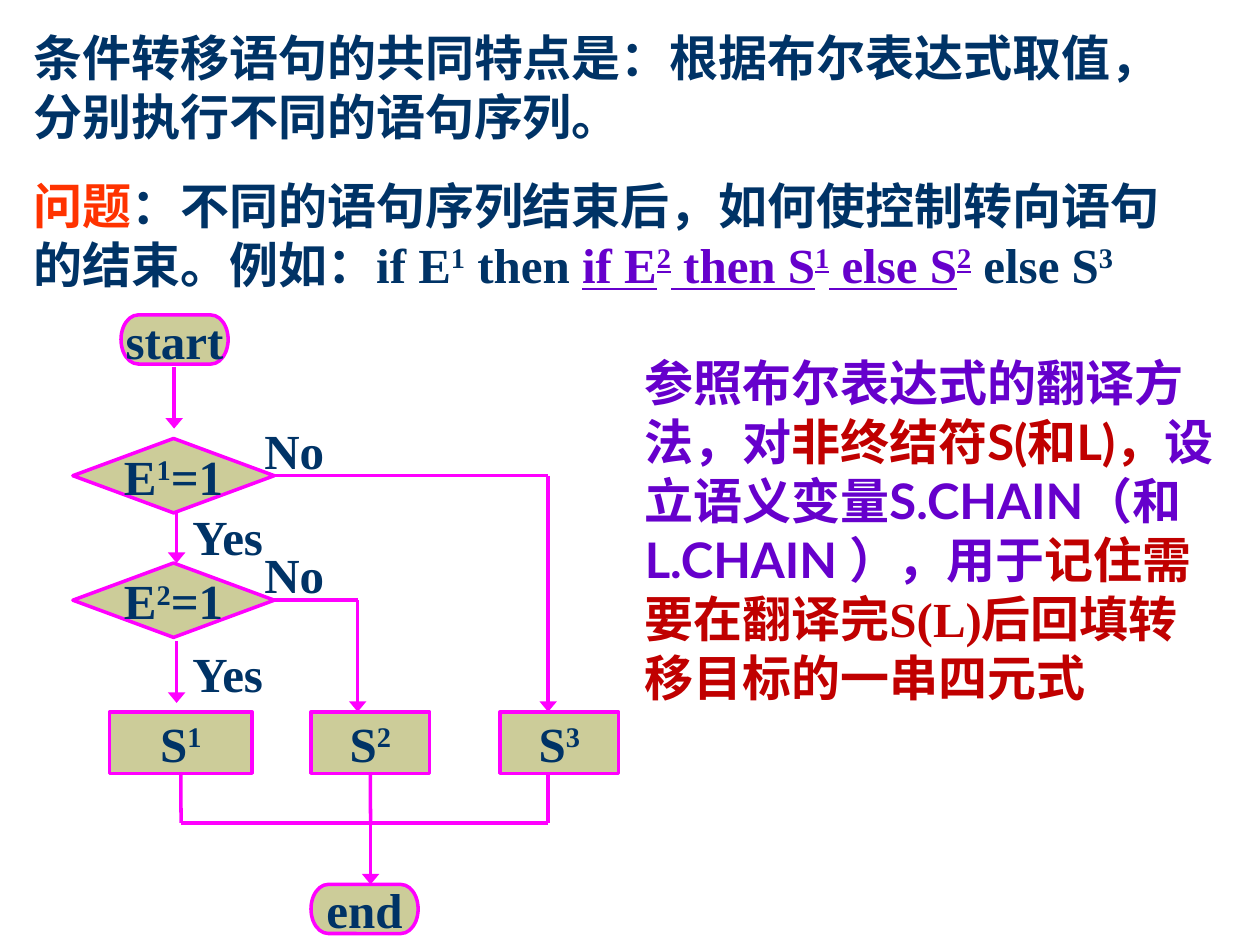
import pptx
import pptx.dml.color
import pptx.enum.shapes
import pptx.enum.text
import pptx.oxml
import pptx.oxml.ns
import pptx.util

Cm, Pt = pptx.util.Cm, pptx.util.Pt
RGB = pptx.dml.color.RGBColor
SHAPE = pptx.enum.shapes.MSO_SHAPE
STRAIGHT = pptx.enum.shapes.MSO_CONNECTOR.STRAIGHT
PP_ALIGN = pptx.enum.text.PP_ALIGN
ANCHOR = pptx.enum.text.MSO_ANCHOR
AUTO_SIZE = pptx.enum.text.MSO_AUTO_SIZE

NAVY = RGB(0x00, 0x33, 0x66)
ORANGE = RGB(0xFF, 0x33, 0x00)
PURPLE = RGB(0x66, 0x00, 0xCC)
RED = RGB(0xC0, 0x00, 0x00)
KHAKI = RGB(0xCC, 0xCC, 0x99)
MAGENTA = RGB(0xFF, 0x00, 0xFF)
SERIF, SANS = "Times New Roman", "Lato"
BOTTOM, RIGHT = 2, 3  # connection sites


class Flow:
    """Style of the slide and the slide being filled."""

    size = Pt(28)
    line_width = Pt(2)

    def __init__(self, slide):
        self.s = slide

    def runs(self, p, text, color=NAVY, font=SERIF, underline=False):
        """Add text to p; pieces between ^ marks are superscript."""
        for i, piece in enumerate(text.split("^")):
            if not piece:
                continue
            r = p.add_run()
            r.text = piece
            r.font.size, r.font.bold, r.font.name = self.size, True, font
            r.font.color.rgb = color
            if underline:
                r.font.underline = True
            if i % 2:
                r._r.get_or_add_rPr().set("baseline", "30000")

    def text(self, x, y, w, h, *paragraphs):
        """Text box; each paragraph is a list of argument tuples for runs."""
        sp = self.s.shapes.add_textbox(Cm(x), Cm(y), Cm(w), Cm(h))
        tf = sp.text_frame
        tf.word_wrap = True
        tf.auto_size = AUTO_SIZE.SHAPE_TO_FIT_TEXT
        for i, parts in enumerate(paragraphs):
            p = tf.add_paragraph() if i else tf.paragraphs[0]
            if i:
                p.space_before = Pt(17.5)
            for part in parts:
                self.runs(p, *part)

    def node(self, kind, x, y, w, h, label):
        sp = self.s.shapes.add_shape(kind, Cm(x), Cm(y), Cm(w), Cm(h))
        sp.shadow.inherit = False
        sp.fill.solid()
        sp.fill.fore_color.rgb = KHAKI
        sp.line.color.rgb = MAGENTA
        sp.line.width = self.line_width
        tf = sp.text_frame
        tf.word_wrap = False
        tf.vertical_anchor = ANCHOR.MIDDLE
        p = tf.paragraphs[0]
        p.alignment = PP_ALIGN.CENTER
        self.runs(p, label)
        return sp

    def line(self, x1, y1, x2, y2, arrow=False, begin=None):
        """Straight line; begin is an optional (shape, site) to join."""
        c = self.s.shapes.add_connector(STRAIGHT, Cm(x1), Cm(y1), Cm(x2), Cm(y2))
        if begin:
            c.begin_connect(*begin)
        c.line.color.rgb = MAGENTA
        c.line.width = self.line_width
        if arrow:
            tail = pptx.oxml.parse_xml(
                '<a:tailEnd %s type="triangle" w="lg" len="med"/>'
                % pptx.oxml.ns.nsdecls("a"))
            c.line._get_or_add_ln().append(tail)
        c._element.spPr.append(pptx.oxml.parse_xml(
            "<a:effectLst %s/>" % pptx.oxml.ns.nsdecls("a")))


def main():
    prs = pptx.Presentation()
    prs.slide_width, prs.slide_height = Cm(25.4), Cm(19.05)
    flow = Flow(prs.slides.add_slide(prs.slide_layouts[6]))

    # Statement and question
    flow.text(
        0.43, 0.43, 24.13, 5.61,
        [("条件转移语句的共同特点是：根据布尔表达式取值，分别执行不同的语句序列。",)],
        [("问题", ORANGE),
         ("：不同的语句序列结束后，如何使控制转向语句的结束。例如：if E^1^ then ",),
         ("if E^2^ then S^1^ else S^2^", PURPLE, SERIF, True),
         (" else S^3^",)])

    # Flowchart nodes
    test_y = (8.84, 11.35)
    tests = [flow.node(SHAPE.FLOWCHART_DECISION, 1.47, y, 4.06, 1.5, f"E^{i}^=1")
             for i, y in enumerate(test_y, 1)]
    box_y, box_h = 14.35, 1.24
    boxes = [flow.node(SHAPE.FLOWCHART_PROCESS, x, box_y, w, box_h, f"S^{i}^")
             for i, (x, w) in enumerate([(2.21, 2.87), (6.27, 2.39), (10.08, 2.39)], 1)]
    for x, y, label in ((6.27, 17.83, "end"), (2.44, 6.35, "start")):
        flow.node(SHAPE.FLOWCHART_TERMINATOR, x, y, 2.16, 0.99, label)

    # Downward arrows of the main path
    for x, y1, y2 in ((3.51, 7.39, 8.64), (3.56, 10.34, 11.35), (3.56, 12.93, 14.17)):
        flow.line(x, y1, x, y2, arrow=True)

    # "No" branches: right from the test, then down to the box
    for test, y, x in zip(tests, test_y, (11.05, 7.21)):
        mid = y + 0.75
        flow.line(5.53, mid, x, mid, begin=(test, RIGHT))
        flow.line(x, mid, x, box_y, arrow=True)

    # Branches join and lead to the end
    box_bottom, join_y = box_y + box_h, 16.59
    flow.line(3.65, box_bottom, 3.65, join_y, begin=(boxes[0], BOTTOM))
    flow.line(7.47, box_bottom, 7.47, join_y, begin=(boxes[1], BOTTOM))
    flow.line(11.05, box_bottom, 11.05, join_y)
    flow.line(3.65, join_y, 11.05, join_y)
    flow.line(7.47, join_y, 7.47, 17.83, arrow=True)

    # Branch labels
    for x, y, label in ((3.63, 12.85, "Yes"), (5.08, 10.85, "No"),
                        (3.63, 10.08, "Yes"), (5.08, 8.36, "No")):
        flow.text(x, y, 2.39, 1.45, [(label,)])

    # Answer
    flow.text(
        12.75, 6.99, 12.22, 7.37,
        [("参照布尔表达式的翻译方法，对", PURPLE),
         ("非终结符", RED),
         ("S(和L)，", RED, SANS),
         ("设立语义变量", PURPLE),
         ("S.CHAIN（和L.CHAIN ）", PURPLE, SANS),
         ("，用于", PURPLE),
         ("记住需要在翻译完S(L)后回填转移目标的一串四元式", RED)])

    prs.save("out.pptx")


if __name__ == "__main__":
    main()
